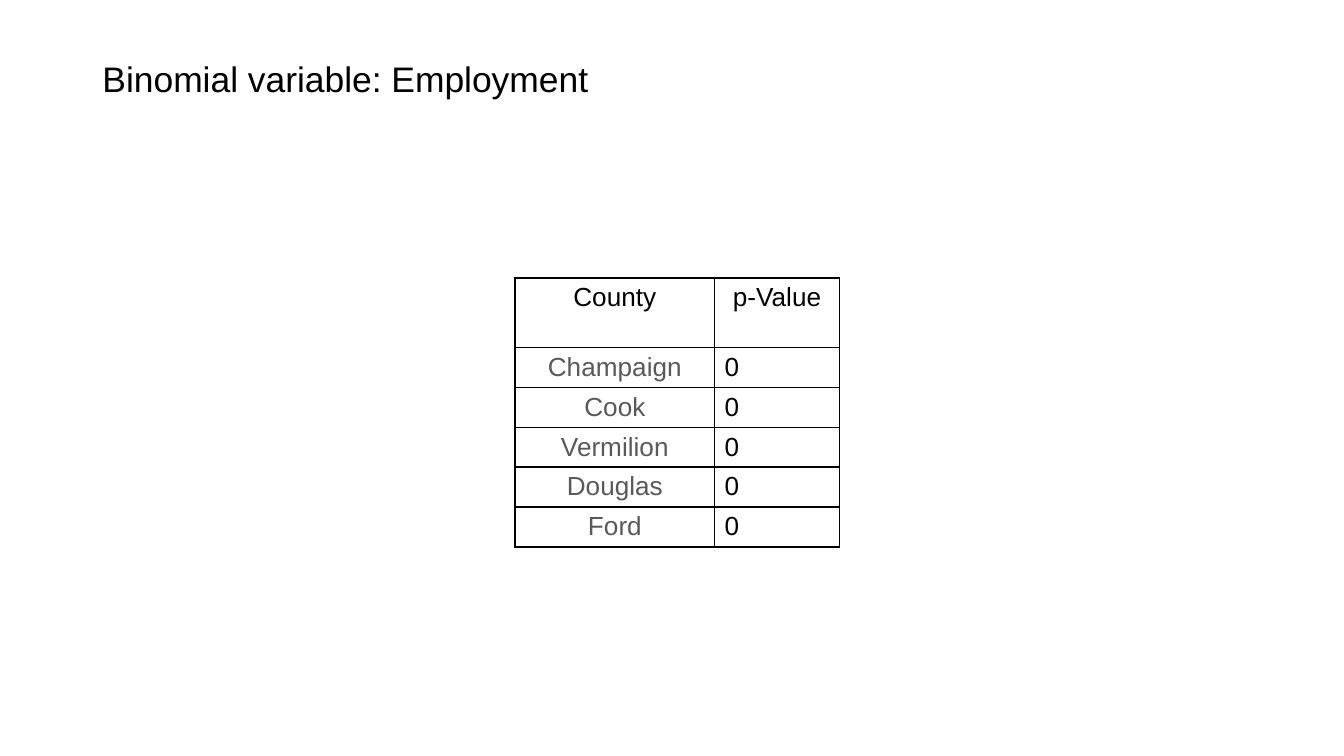
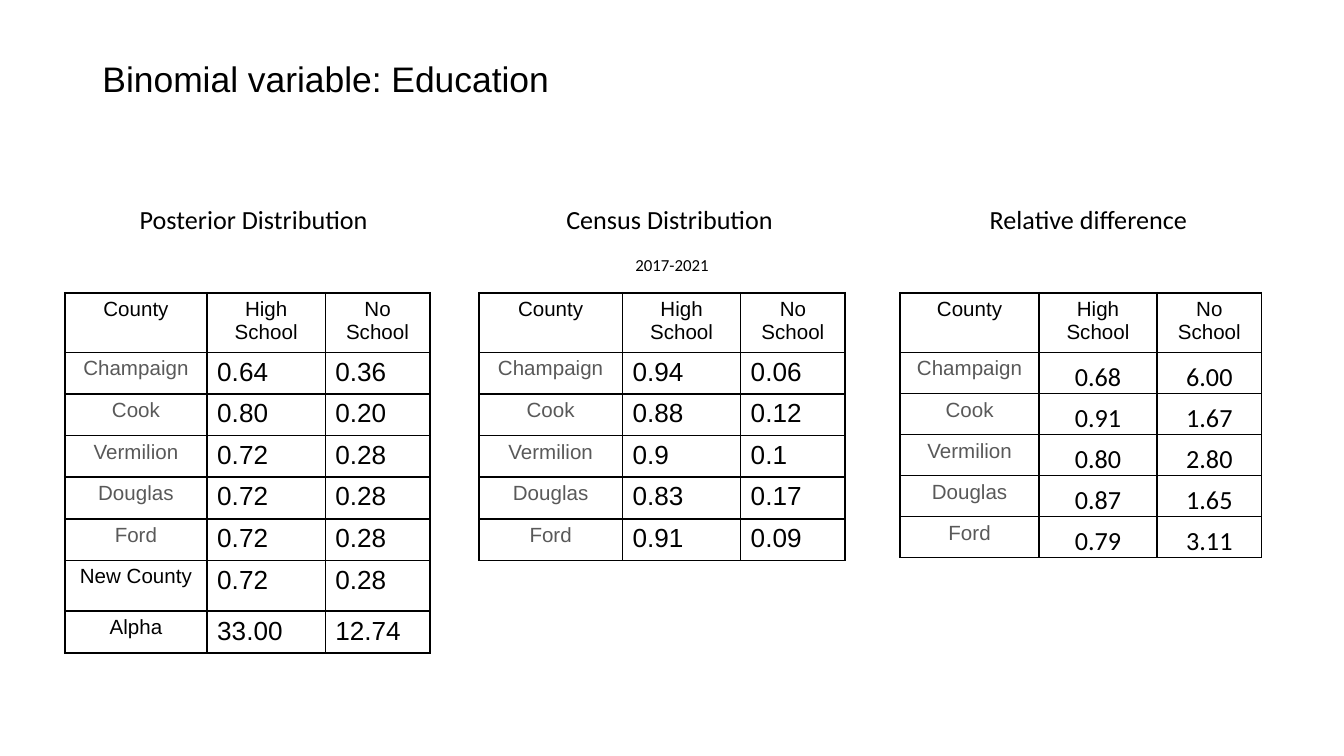
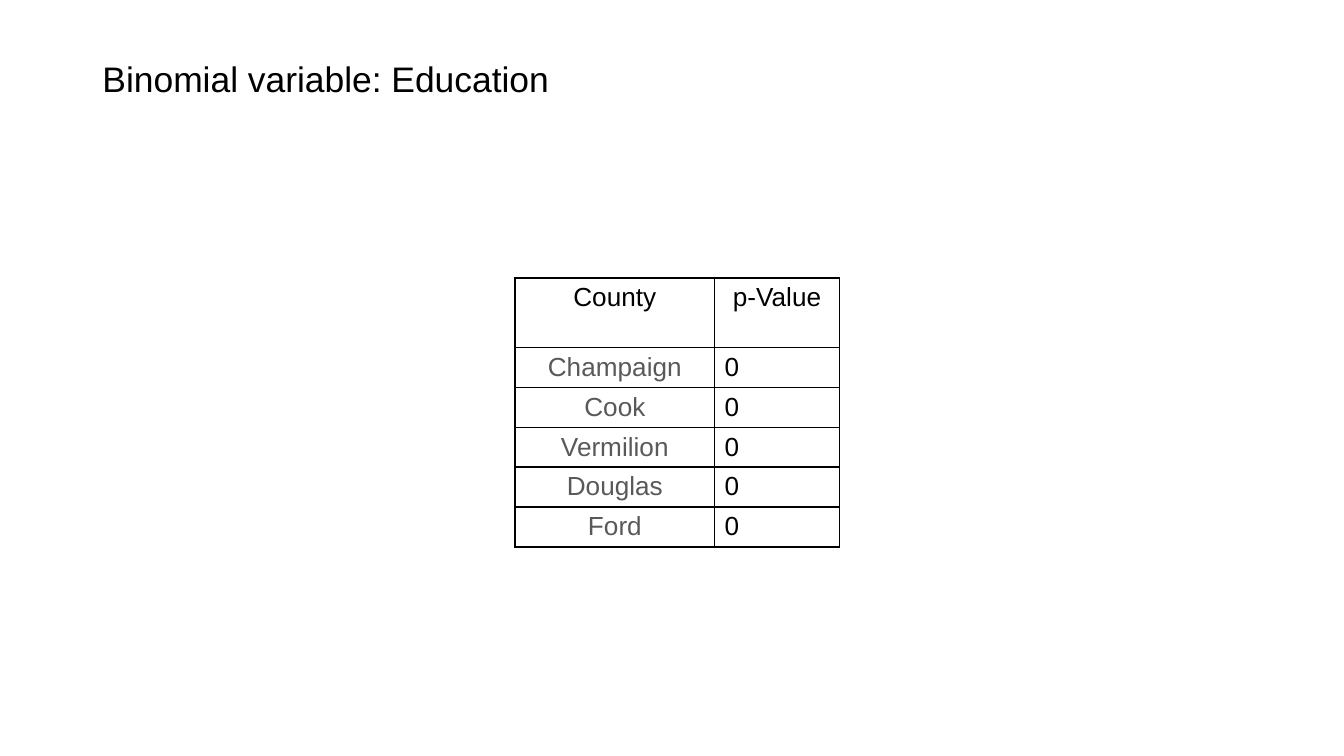
from lxml import etree
from pptx import Presentation
from pptx.dml.color import RGBColor
from pptx.enum.text import MSO_ANCHOR, MSO_AUTO_SIZE, PP_ALIGN
from pptx.oxml.ns import qn
from pptx.util import Pt

LEFT, MID = PP_ALIGN.LEFT, PP_ALIGN.CENTER
TOP, CENTER, BOTTOM = MSO_ANCHOR.TOP, MSO_ANCHOR.MIDDLE, MSO_ANCHOR.BOTTOM
GROW, FIXED = MSO_AUTO_SIZE.SHAPE_TO_FIT_TEXT, MSO_AUTO_SIZE.NONE

COLORS = {"ink": "000000", "grey": "595959", "page": "FFFFFF"}
SANS, LABEL = "Arial", "Calibri"
INSET = (5.4, 2.7, 5.4, 2.7)
TIGHT = (0.7, 0.7, 0.7, 0)
TITLE = (49.5, 21.6, 621, 43.2)
TOWNS = ["Champaign", "Cook", "Vermilion", "Douglas", "Ford"]
LEVELS = ["County", "High School", "No School"]

POST = [
    ("0.64", "0.36"), ("0.80", "0.20"), ("0.72", "0.28"), ("0.72", "0.28"),
    ("0.72", "0.28"), ("0.72", "0.28"), ("33.00", "12.74"),
]
CENSUS = [("0.94", "0.06"), ("0.88", "0.12"), ("0.9", "0.1"), ("0.83", "0.17"), ("0.91", "0.09")]
RATIO = [("0.68", "6.00"), ("0.91", "1.67"), ("0.80", "2.80"), ("0.87", "1.65"), ("0.79", "3.11")]


def style(frame, size, font=SANS, color="ink", align=MID):
    for para in frame.paragraphs:
        para.alignment = align
        for run in para.runs:
            run.font.size = Pt(size)
            run.font.name = font
            run.font.color.rgb = RGBColor.from_string(COLORS[color])


def pad(item, inset, anchor):
    item.margin_left, item.margin_top, item.margin_right, item.margin_bottom = map(Pt, inset)
    item.vertical_anchor = anchor


def edge(cell):
    props = cell._tc.get_or_add_tcPr()
    for side in ("lnL", "lnR", "lnT", "lnB"):
        line = etree.SubElement(props, qn("a:" + side), w=str(Pt(1)))
        fill = etree.SubElement(line, qn("a:solidFill"))
        etree.SubElement(fill, qn("a:srgbClr"), val=COLORS["ink"])
    cell.fill.background()


def page(deck, text):
    slide = deck.slides.add_slide(deck.slide_layouts[5])
    slide.background.fill.solid()
    slide.background.fill.fore_color.rgb = RGBColor.from_string(COLORS["page"])
    title = slide.shapes.title
    title.left, title.top, title.width, title.height = map(Pt, TITLE)
    frame = title.text_frame
    frame.text = text
    frame.auto_size = FIXED
    frame.paragraphs[0].line_spacing = 0.9
    pad(frame, INSET, CENTER)
    style(frame, 19, align=LEFT)
    return slide


def label(slide, box, text, size):
    frame = slide.shapes.add_textbox(*map(Pt, box)).text_frame
    frame.text = text
    frame.word_wrap = True
    frame.auto_size = GROW
    pad(frame, INSET, TOP)
    style(frame, size, LABEL)


def grid(slide, left, top, cols, rows, data, small, tight=False):
    box = map(Pt, (left, top, sum(cols), sum(rows)))
    table = slide.shapes.add_table(len(rows), len(cols), *box).table
    table.first_row = table.horz_banding = False
    for col, width in zip(table.columns, cols):
        col.width = Pt(width)
    for row, height in zip(table.rows, rows):
        row.height = Pt(height)
    for r, line in enumerate(data):
        for c, text in enumerate(line):
            cell = table.cell(r, c)
            cell.text = text
            edge(cell)
            value = r > 0 and c > 0
            close = tight and value
            pad(cell, TIGHT if close else INSET, BOTTOM if close else TOP)
            style(
                cell.text_frame,
                14 if value else small,
                LABEL if close else SANS,
                "grey" if text in TOWNS else "ink",
                LEFT if value and not tight else MID,
            )


def test(deck, title):
    slide = page(deck, title)
    data = [["County", "p-Value"]] + [[town, "0"] for town in TOWNS]
    grid(slide, 276, 149, (106.8, 67), [37.2] + [21.4] * len(TOWNS), data, 14)


def compare(deck, title):
    slide = page(deck, title)
    names = TOWNS + ["New County", "Alpha"]
    parts = [
        ("Posterior Distribution ", 34.7, 76.3, [22.3] * 5 + [27.3, 22.3], POST, False),
        ("Census Distribution ", 256.5, 77, [22.3] * 5, CENSUS, False),
        ("Relative difference", 482.3, 74.3, [22] * 5, RATIO, True),
    ]
    for i, (head, left, first, rows, pairs, tight) in enumerate(parts):
        label(slide, (56.9 + 222.8 * i, 106, 161.3, 22.3), head, 14)
        data = [LEVELS] + [[name, *pair] for name, pair in zip(names, pairs)]
        grid(slide, left, 156.8, (first, 63.3, 56), [32] + rows, data, 11, tight)
    label(slide, (315.4, 134, 89.3, 16.6), "2017-2021", 9)


def main():
    deck = Presentation()
    deck.slide_width, deck.slide_height = Pt(720), Pt(405)
    test(deck, "Binomial variable: Employment")
    compare(deck, "Binomial variable: Education")
    test(deck, "Binomial variable: Education")
    deck.save("out.pptx")


if __name__ == "__main__":
    main()
